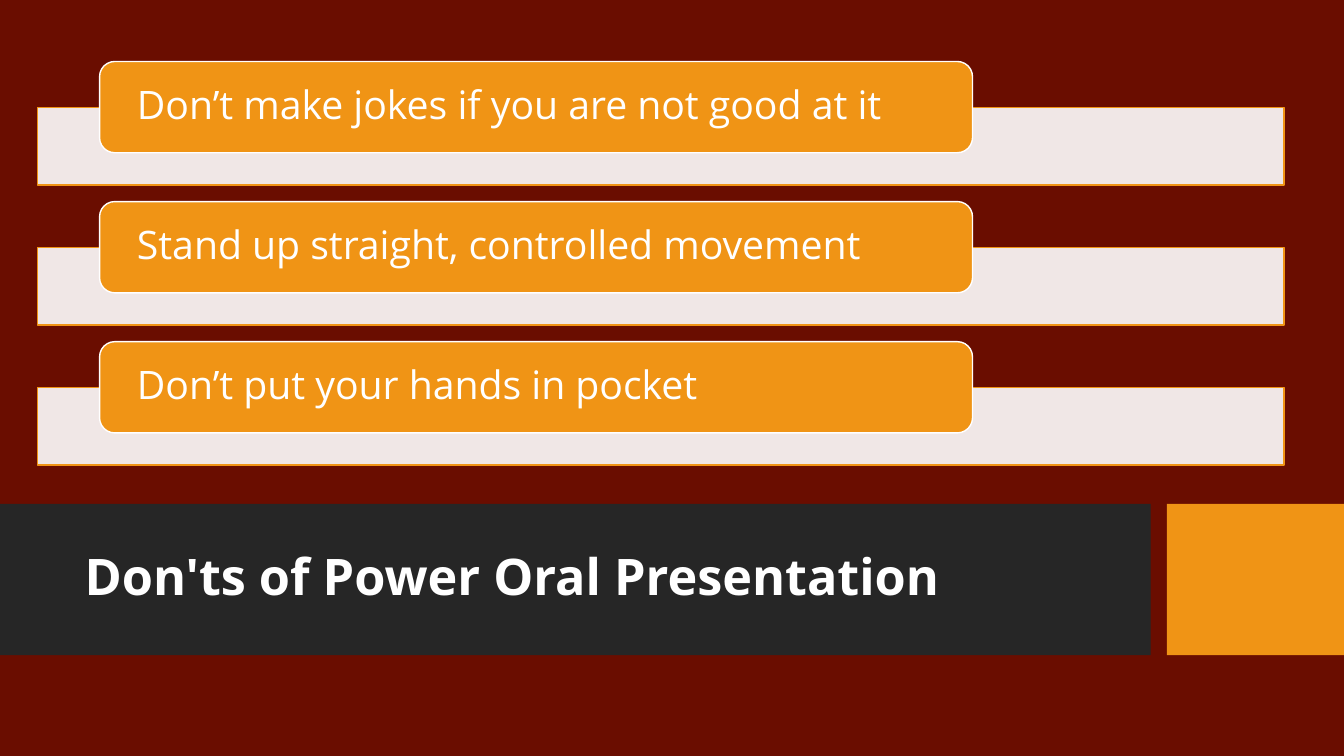
"""Build the slide on the don'ts of an oral presentation."""
from lxml.etree import SubElement
from pptx import Presentation
from pptx.dml.color import RGBColor
from pptx.enum.shapes import MSO_SHAPE
from pptx.enum.text import MSO_ANCHOR, PP_ALIGN
from pptx.oxml.ns import qn
from pptx.util import Cm, Pt

COLORS = {"back": "6A0D00", "band": "262626", "accent": "F09415", "white": "FFFFFF"}


def rgb(name):
    return RGBColor.from_string(COLORS[name])


def write(sp, text, size=28, bold=False, color="white", inset=0.25, margin=0):
    tf = sp.text_frame
    tf.word_wrap = True
    tf.vertical_anchor = MSO_ANCHOR.MIDDLE
    tf.margin_left = tf.margin_right = Cm(inset)
    tf.margin_top = tf.margin_bottom = Cm(margin)
    p = tf.paragraphs[0]
    p.alignment = PP_ALIGN.LEFT
    p.line_spacing = 0.9
    r = p.add_run()
    r.text = text
    r.font.name = "Open Sans"
    r.font.size = Pt(size)
    r.font.bold = bold
    r.font.color.rgb = rgb(color)


prs = Presentation()
prs.slide_width, prs.slide_height = Cm(33.87), Cm(19.05)
s = prs.slides.add_slide(prs.slide_layouts[5])
s.background.fill.solid()
s.background.fill.fore_color.rgb = rgb("back")

title = s.shapes.title
title.left, title.top, title.width, title.height = Cm(1.88), Cm(13.08), Cm(26.7), Cm(3.02)
write(title, "Don'ts of Power Oral Presentation", size=36, bold=True, margin=0.13)

for left, width, color in [(0, 29, "band"), (29.41, 4.46, "accent")]:
    sp = s.shapes.add_shape(MSO_SHAPE.RECTANGLE, Cm(left), Cm(12.7), Cm(width), Cm(3.81))
    sp.shadow.inherit = False
    sp.fill.solid()
    sp.fill.fore_color.rgb = rgb(color)
    sp.line.fill.background()
    title.element.addprevious(sp.element)

donts = [
    "Don’t make jokes if you are not good at it",
    "Stand up straight, controlled movement",
    "Don’t put your hands in pocket",
]
for i, dont in enumerate(donts):
    top = 1.55 + i * 3.53
    bar = s.shapes.add_shape(MSO_SHAPE.RECTANGLE, Cm(0.94), Cm(top + 1.16), Cm(31.42), Cm(1.95))
    pill = s.shapes.add_shape(MSO_SHAPE.ROUNDED_RECTANGLE, Cm(2.51), Cm(top), Cm(22), Cm(2.3))
    for sp, fill, line in [(bar, "white", "accent"), (pill, "accent", "white")]:
        sp.shadow.inherit = False
        sp.fill.solid()
        sp.fill.fore_color.rgb = rgb(fill)
        sp.line.color.rgb = rgb(line)
        sp.line.width = Pt(1)
    clr = bar.element.spPr.find(qn("a:solidFill")).find(qn("a:srgbClr"))
    SubElement(clr, qn("a:alpha"), val="90000")
    write(pill, dont, inset=0.83)

prs.save("out.pptx")
